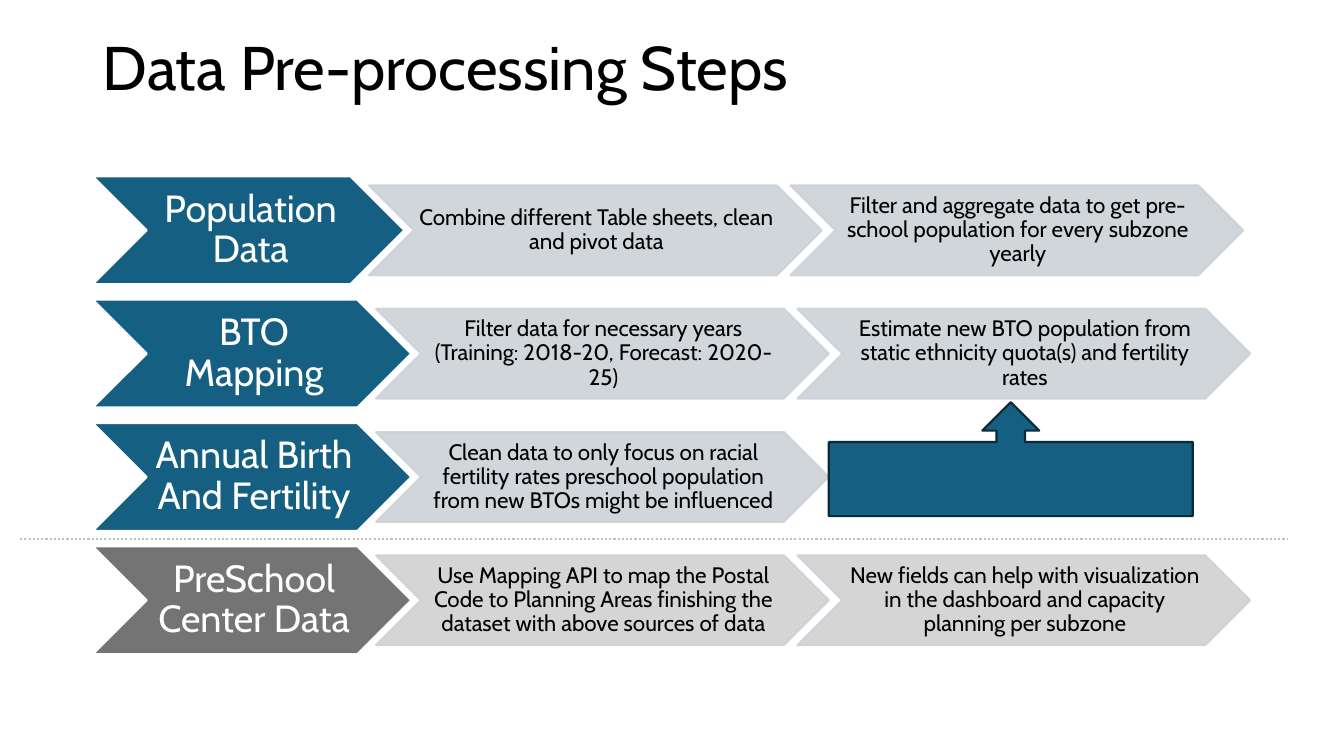
import pptx
import pptx.util
import pptx.dml.color
import pptx.enum.dml
import pptx.enum.shapes
import pptx.enum.text
import pptx.oxml.ns
import lxml.etree

Inches = pptx.util.Inches
Pt = pptx.util.Pt
RGBColor = pptx.dml.color.RGBColor
Shape = pptx.enum.shapes.MSO_SHAPE
Align = pptx.enum.text.PP_ALIGN

BLUE = RGBColor(0x15, 0x60, 0x82)
NAVY = RGBColor(0x09, 0x2A, 0x39)
GRAY = RGBColor(0x74, 0x74, 0x74)
PALE_BLUE = RGBColor(0xCC, 0xD2, 0xD8)
PALE_GRAY = RGBColor(0xD1, 0xD1, 0xD1)
RULE_GRAY = RGBColor(0xBF, 0xBF, 0xBF)
WHITE = RGBColor(0xFF, 0xFF, 0xFF)
BLACK = RGBColor(0x00, 0x00, 0x00)

FONT = "Cabin"

# Label, label width, label colour, step colour, steps
ROWS = [
    ("Population Data", 3.09, BLUE, PALE_BLUE, [
        "Combine different Table sheets, clean and pivot data",
        "Filter and aggregate data to get pre-school population for every subzone yearly"]),
    ("BTO Mapping", 3.16, BLUE, PALE_BLUE, [
        "Filter data for necessary years (Training: 2018-20, Forecast: 2020-25)",
        "Estimate new BTO population from static ethnicity quota(s) and fertility rates"]),
    ("Annual Birth And Fertility", 3.16, BLUE, PALE_BLUE, [
        "Clean data to only focus on racial fertility rates preschool population "
        "from new BTOs might be influenced"]),
    ("PreSchool Center Data", 3.16, GRAY, PALE_GRAY, [
        "Use Mapping API to map the Postal Code to Planning Areas finishing the "
        "dataset with above sources of data",
        "New fields can help with visualization in the dashboard and capacity "
        "planning per subzone"]),
]


def write_text(box, text, size, color, align=Align.CENTER, insets=(0.1, 0.05, 0.1, 0.05)):
    frame = box.text_frame
    frame.word_wrap = True
    frame.vertical_anchor = pptx.enum.text.MSO_ANCHOR.MIDDLE
    (frame.margin_left, frame.margin_top,
     frame.margin_right, frame.margin_bottom) = map(Inches, insets)
    para = frame.paragraphs[0]
    para.alignment = align
    para.line_spacing = 0.9
    span = para.add_run()
    span.text = text
    span.font.name = FONT
    span.font.size = Pt(size)
    span.font.color.rgb = color


def set_opacity(color_format_owner, percent):
    """Add an alpha value to every solid colour below the given element."""
    for color in color_format_owner.iter(pptx.oxml.ns.qn("a:srgbClr")):
        alpha = lxml.etree.SubElement(color, pptx.oxml.ns.qn("a:alpha"))
        alpha.set("val", str(percent * 1000))


def add_block(page, kind, left, top, width, height, fill, line, opacity=100):
    block = page.shapes.add_shape(
        kind, Inches(left), Inches(top), Inches(width), Inches(height))
    block.shadow.inherit = False
    block.fill.solid()
    block.fill.fore_color.rgb = fill
    block.line.color.rgb = line
    block.line.width = Pt(1.5)
    if opacity < 100:
        set_opacity(block.element.spPr, opacity)
    return block


def add_title(page, left, top, width, height):
    box = page.shapes.add_textbox(Inches(left), Inches(top), Inches(width), Inches(height))
    write_text(box, "Data Pre-processing Steps", 44, BLACK, align=Align.LEFT)


def add_process_row(page, left, top, height, row):
    label, label_width, label_fill, step_fill, steps = row
    head = add_block(page, Shape.CHEVRON, left, top, label_width, height, label_fill, WHITE)
    write_text(head, label, 27, WHITE, insets=(0.04, 0.02, 0, 0.02))

    # Steps overlap the label's point and follow at an equal pitch
    step_left = left + label_width - 0.35
    step_height = 0.89
    step_top = top + (height - step_height) / 2
    for index, text in enumerate(steps):
        step = add_block(page, Shape.CHEVRON, step_left + index * 4.18, step_top,
                         4.49, step_height, step_fill, PALE_BLUE, opacity=90)
        write_text(step, text, 16, BLACK, insets=(0.02, 0.01, 0, 0.01))


def add_process(page, left, top, width_of_row_band, row_height):
    pitch = (width_of_row_band - row_height) / (len(ROWS) - 1)
    for index, row in enumerate(ROWS):
        add_process_row(page, left, top + index * pitch, row_height, row)


def add_divider(page, left, right, top):
    divider = page.shapes.add_connector(
        pptx.enum.shapes.MSO_CONNECTOR.STRAIGHT,
        Inches(left), Inches(top), Inches(right), Inches(top))
    divider.line.color.rgb = RULE_GRAY
    divider.line.width = Pt(1.5)
    divider.line.dash_style = pptx.enum.dml.MSO_LINE.ROUND_DOT
    lxml.etree.SubElement(divider.element.spPr, pptx.oxml.ns.qn("a:effectLst"))


def main():
    deck = pptx.Presentation()
    deck.slide_width = Inches(13.33)
    deck.slide_height = Inches(7.5)
    page = deck.slides.add_slide(deck.slide_layouts[6])

    add_title(page, 0.92, 0.18, 11.5, 1.04)
    add_process(page, 0.92, 1.75, 4.74, 1.07)
    # Callout pointing from the fertility row to the mapping row
    add_block(page, Shape.UP_ARROW_CALLOUT, 8.22, 3.99, 3.61, 1.13, BLUE, NAVY)
    add_divider(page, 0.2, 12.77, 5.35)

    deck.save("out.pptx")


if __name__ == "__main__":
    main()
